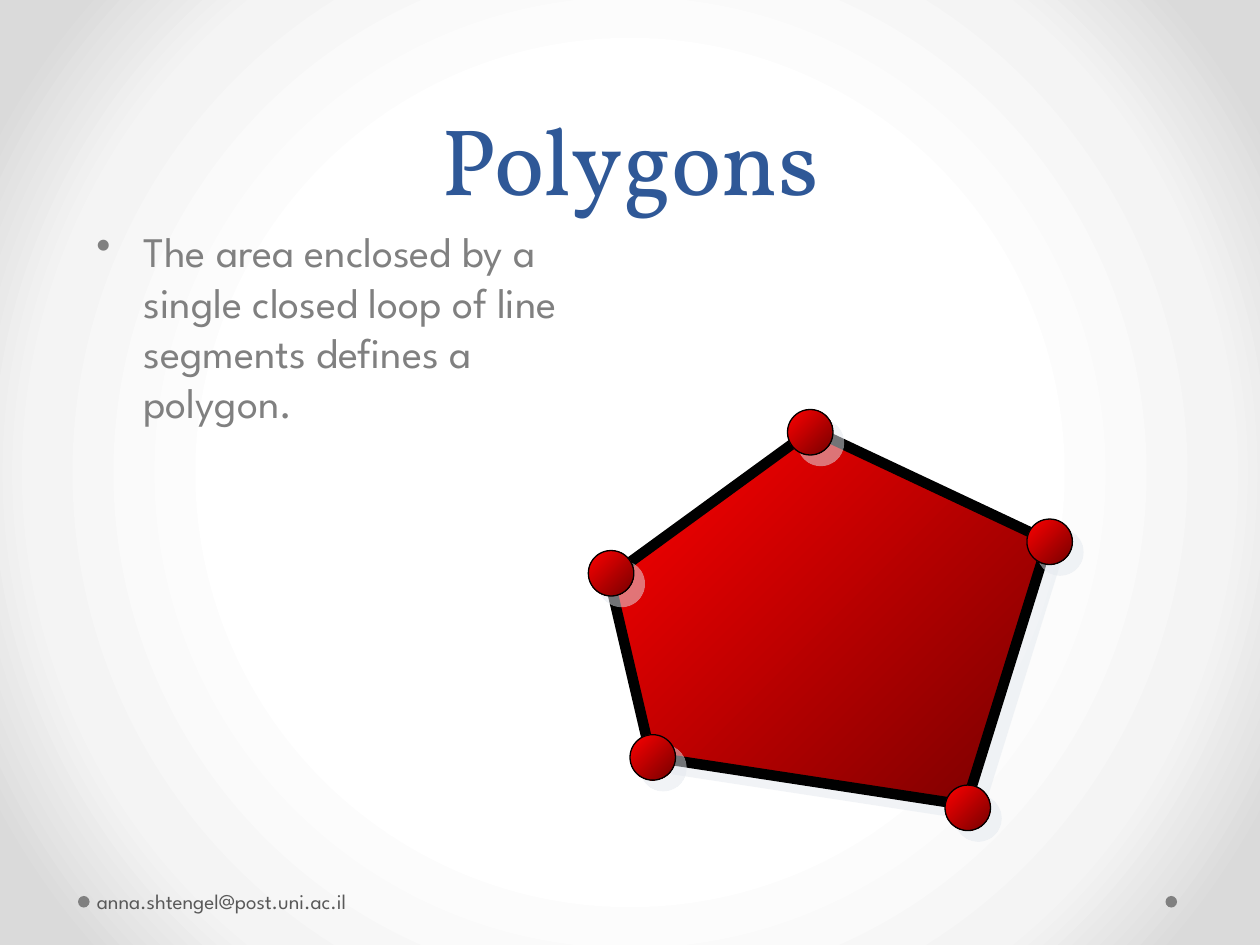
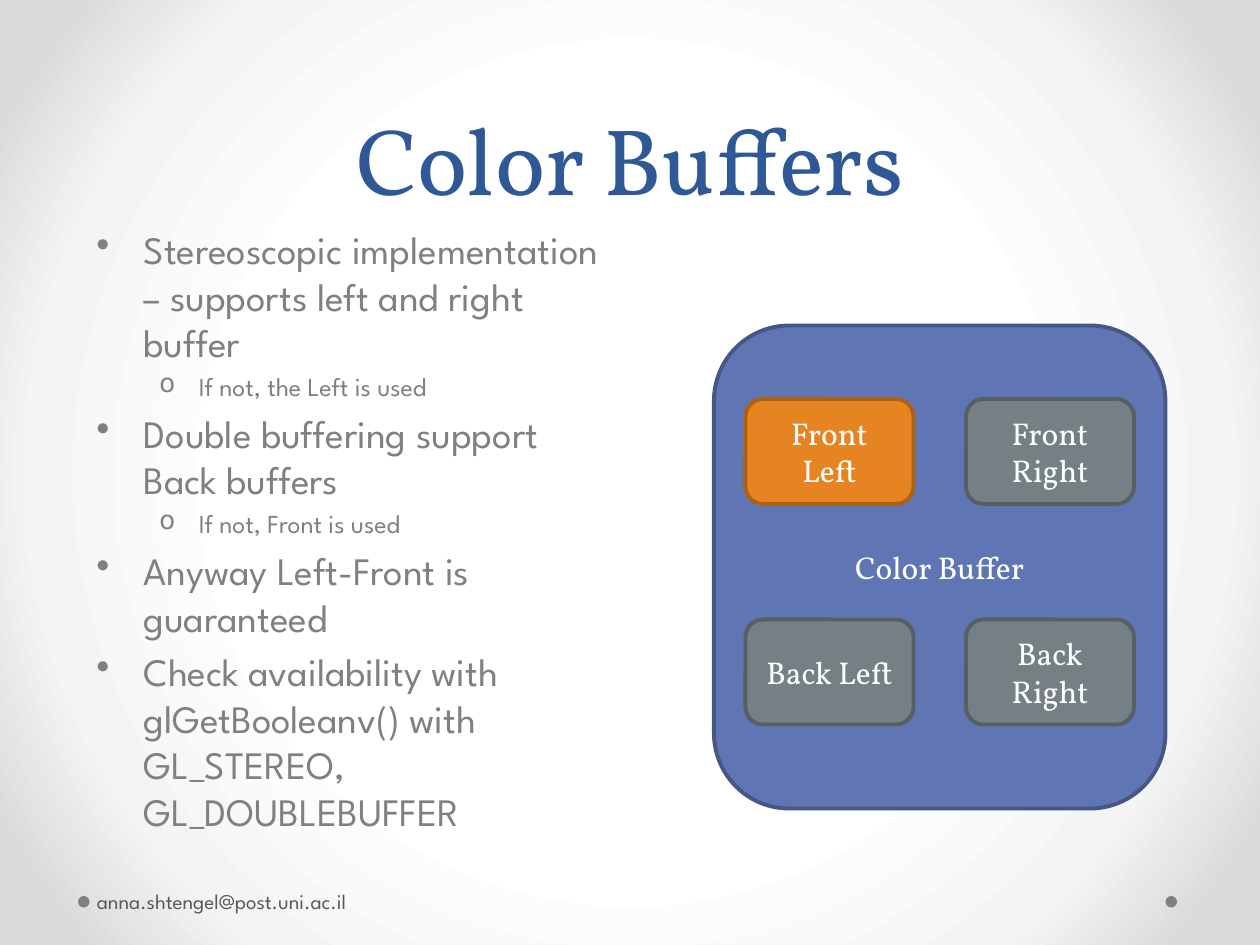
import pptx
import pptx.util
import pptx.dml.color
import pptx.enum.shapes
import pptx.enum.text
import pptx.oxml
import pptx.oxml.ns

Pt = pptx.util.Pt
SHAPE = pptx.enum.shapes.MSO_SHAPE
ANCHOR = pptx.enum.text.MSO_ANCHOR
ALIGN = pptx.enum.text.PP_ALIGN
qn = pptx.oxml.ns.qn
NS = pptx.oxml.ns.nsdecls("a")

# Shared look
SERIF, SANS = "Vollkorn", "League Spartan"
BLUE, GREY, DARK, WHITE, BLACK = "2F5897", "808080", "595959", "FFFFFF", "000000"
BACKDROP = [(50, "FFFFFF"), (76, "F4F4F4"), (92, "DADADA")]
RED_FADE = [(0, "FF0000"), (100, "760000")]
RADIAL = ('<a:path path="circle"><a:fillToRect l="50000" t="50000" '
          'r="50000" b="50000"/></a:path>')
DIAGONAL = '<a:lin ang="2700000" scaled="0"/>'
BULLETS = [("•", 27, -27), ("o", 58.5, -22.5)]  # mark, margin, indent by level
FOOTER = "anna.shtengel@post.uni.ac.il"

# Content: bullets are (level, text)
POLYGON_POINTS = [
    (0, "The area enclosed by a single closed loop of line segments defines a polygon."),
]
BUFFER_POINTS = [
    (0, "Stereoscopic implementation – supports left and right buffer"),
    (1, "If not, the Left is used"),
    (0, "Double buffering support Back buffers"),
    (1, "If not, Front is used"),
    (0, "Anyway Left-Front is guaranteed"),
    (0, "Check availability with glGetBooleanv() with GL_STEREO, GL_DOUBLEBUFFER"),
]
# Polygon corners, and the top left of the ball on each
CORNERS = [(372, 432.5), (348, 330), (464, 245.5), (599, 309), (552, 460)]
BALLS = [(360, 419.8), (336.2, 314.6), (450, 234), (586.8, 296.6), (540, 448.6)]
BALL_SIZE = 26
BUFFERS = [["Front Left", "Front Right"], ["Back Left", "Back Right"]]
GUARANTEED = "Front Left"


def rgb(color):
    return pptx.dml.color.RGBColor.from_string(color)


def set_gradient(fill, element, stops, direction):
    fill.gradient()
    old = element.find(".//" + qn("a:gradFill"))
    marks = "".join(f'<a:gs pos="{pos * 1000}"><a:srgbClr val="{color}"/></a:gs>'
                    for pos, color in stops)
    new = pptx.oxml.parse_xml(
        f'<a:gradFill {NS} rotWithShape="1"><a:gsLst>{marks}</a:gsLst>{direction}</a:gradFill>')
    old.getparent().replace(old, new)


def write(p, text, size, font=SANS, color=GREY, align=None):
    p.alignment = align
    r = p.add_run()
    r.text = text
    r.font.size, r.font.name = Pt(size), font
    r.font.color.rgb = rgb(color)


def add_box(s, left, top, width, height, anchor=ANCHOR.TOP):
    tf = s.shapes.add_textbox(Pt(left), Pt(top), Pt(width), Pt(height)).text_frame
    tf.word_wrap = True
    tf.vertical_anchor = anchor
    return tf


def add_shape(shapes, kind, left, top, width, height, fill=None, line=None, weight=2.25):
    sp = shapes.add_shape(kind, Pt(left), Pt(top), Pt(width), Pt(height))
    sp.shadow.inherit = False
    if fill:
        sp.fill.solid()
        sp.fill.fore_color.rgb = rgb(fill)
    set_line(sp, line, weight)
    return sp


def set_line(sp, color, weight):
    if color:
        sp.line.color.rgb = rgb(color)
        sp.line.width = Pt(weight)
    else:
        sp.line.fill.background()


def make_red(sp):
    """Red fade with a soft shadow to the lower right."""
    set_gradient(sp.fill, sp._element.spPr, RED_FADE, DIAGONAL)
    sp.shadow.inherit = False
    sp._element.spPr.find(qn("a:effectLst")).append(pptx.oxml.parse_xml(
        f'<a:outerShdw {NS} blurRad="0" dist="{Pt(8.5)}" dir="2700000" algn="ctr" '
        'rotWithShape="0"><a:srgbClr val="E4E9EF"><a:alpha val="50000"/></a:srgbClr>'
        '</a:outerShdw>'))


def add_bullets(s, points, sizes):
    tf = add_box(s, 48, 125.4, 306, 360)
    for i, (level, text) in enumerate(points):
        p = tf.paragraphs[0] if i == 0 else tf.add_paragraph()
        mark, margin, indent = BULLETS[level]
        p.level = level
        p.space_before = Pt(round(sizes[level] * 0.2, 1))
        write(p, text, sizes[level])
        pPr = p._p.get_or_add_pPr()
        pPr.set("marL", str(Pt(margin)))
        pPr.set("indent", str(Pt(indent)))
        pPr.append(pptx.oxml.parse_xml(f'<a:buChar {NS} char="{mark}"/>'))


def add_slide(prs, title):
    """Slide with backdrop, footer dots, title and footer."""
    s = prs.slides.add_slide(prs.slide_layouts[6])
    set_gradient(s.background.fill, s._element, BACKDROP, RADIAL)
    for left in (666, 44.6):
        add_shape(s.shapes, SHAPE.OVAL, left, 512, 6.6, 6.6, GREY)
    p = add_box(s, 36, 0, 648, 126, ANCHOR.BOTTOM).paragraphs[0]
    p.line_spacing = Pt(58)
    write(p, title, 54, SERIF, BLUE, ALIGN.CENTER)
    tf = add_box(s, 51.8, 500.4, 224, 28.8, ANCHOR.MIDDLE)
    tf.margin_left = Pt(3.6)
    write(tf.paragraphs[0], FOOTER, 12, color=DARK)
    return s


def add_polygon(s):
    group = s.shapes.add_group_shape()
    start, *rest = [(Pt(x), Pt(y)) for x, y in CORNERS]
    builder = group.shapes.build_freeform(*start)
    builder.add_line_segments(rest, close=True)
    polygon = builder.convert_to_shape()
    set_line(polygon, BLACK, 6)
    make_red(polygon)
    for left, top in BALLS:
        make_red(add_shape(group.shapes, SHAPE.OVAL, left, top, BALL_SIZE, BALL_SIZE,
                           line=BLACK, weight=0.75))


def add_buffer(s, text, left, top, width, height, fill, line):
    sp = add_shape(s.shapes, SHAPE.ROUNDED_RECTANGLE, left, top, width, height, fill, line)
    sp.text_frame.vertical_anchor = ANCHOR.MIDDLE
    write(sp.text_frame.paragraphs[0], text, 18, SERIF, WHITE, ALIGN.CENTER)


def add_buffer_grid(s):
    add_buffer(s, "Color Buffer", 408, 186, 258, 276, "6076B4", "475785")
    pitch = 126
    for row, names in enumerate(BUFFERS):
        for col, name in enumerate(names):
            colors = ("E68422", "AA6219") if name == GUARANTEED else ("758085", "575F62")
            add_buffer(s, name, 426 + col * pitch, 228 + row * pitch, 96, 60, *colors)


def main():
    prs = pptx.Presentation()
    prs.slide_width, prs.slide_height = Pt(720), Pt(540)

    # Polygons
    s = add_slide(prs, "Polygons")
    add_bullets(s, POLYGON_POINTS, (24, 16))
    add_polygon(s)

    # Color buffers
    s = add_slide(prs, "Color Buffers")
    add_bullets(s, BUFFER_POINTS, (22.2, 14.8))
    add_buffer_grid(s)

    prs.save("out.pptx")


if __name__ == "__main__":
    main()
